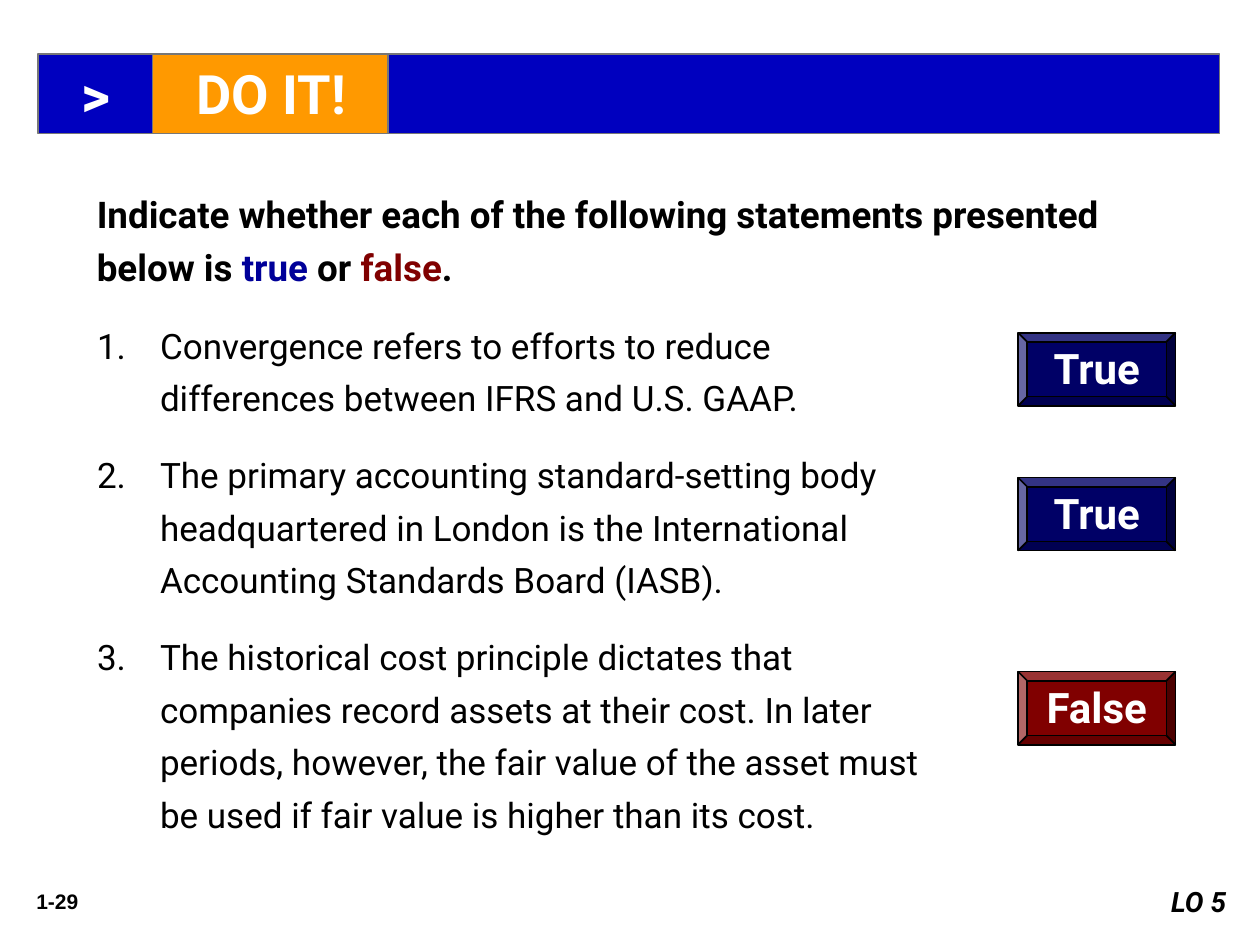
from dataclasses import dataclass

from lxml import etree
from pptx import Presentation
from pptx.dml.color import RGBColor
from pptx.enum.shapes import MSO_SHAPE as SHAPE
from pptx.enum.text import MSO_ANCHOR as ANCHOR, MSO_AUTO_SIZE as AUTO, PP_ALIGN as ALIGN
from pptx.oxml.ns import qn
from pptx.util import Inches, Pt

COLORS = {
    "black": "000000", "white": "FFFFFF", "bar": "0000BF", "orange": "FF9900",
    "border": "777777", "true": "000066", "false": "800000", "true_word": "000099",
}
PROMPT = [
    ("Indicate whether each of the following statements presented below is ", "black"),
    ("true", "true_word"), (" or ", "black"), ("false", "false"), (".", "black"),
]


@dataclass
class Statement:
    text: str
    answer: str
    button_top: float


STATEMENTS = [
    Statement("Convergence refers to efforts to reduce differences between IFRS and "
              "U.S. GAAP.", "True", 2.64),
    Statement("The primary accounting standard-setting body headquartered in London is "
              "the International Accounting Standards Board (IASB).", "True", 3.79),
    Statement("The historical cost principle dictates that companies record assets at "
              "their cost. In later periods, however, the fair value of the asset must "
              "be used if fair value is higher than its cost.", "False", 5.33),
]


def rgb(name: str) -> RGBColor:
    return RGBColor.from_string(COLORS[name])


def place(s, left: float, top: float, width: float, height: float) -> None:
    s.left, s.top, s.width, s.height = map(Inches, (left, top, width, height))


def style(font, size: float, color: str = "black", bold: bool = True,
          name: str = "Roboto") -> None:
    font.size, font.bold, font.name = Pt(size), bold, name
    font.color.rgb = rgb(color)


def paint(s, fill: str, line: str) -> None:
    s.fill.solid()
    s.fill.fore_color.rgb = rgb(fill)
    s.line.color.rgb = rgb(line)
    s.line.width = Pt(1)


def add_block(slide, kind, box: tuple, fill: str, line: str):
    s = slide.shapes.add_shape(kind, *map(Inches, box))
    s.shadow.inherit = False
    paint(s, fill, line)
    return s


def write_heading(s, text: str, size: float, anchor) -> None:
    """Write left-aligned white text, indented a quarter inch, in the top bar."""
    tf = s.text_frame
    tf.text = text
    tf.auto_size, tf.vertical_anchor, tf.word_wrap = AUTO.NONE, anchor, True
    p = tf.paragraphs[0]
    p.alignment = ALIGN.LEFT
    p._p.get_or_add_pPr().set("marL", str(Inches(0.25)))
    style(p.runs[0].font, size, "white")


def add_header(slide) -> None:
    bar = add_block(slide, SHAPE.RECTANGLE, (0.3, 0.43, 9.38, 0.63), "bar", "border")
    write_heading(bar, ">", 32, ANCHOR.MIDDLE)
    title = slide.shapes.title
    place(title, 1.21, 0.43, 1.87, 0.63)
    paint(title, "orange", "border")
    write_heading(title, "DO IT!", 31, ANCHOR.TOP)
    bar.element.addnext(title.element)  # the title lies on the bar


def add_text(slide, box: tuple, parts: list, size: float, align=ALIGN.LEFT,
             name: str = "Roboto"):
    s = slide.shapes.add_textbox(*map(Inches, box))
    s.text_frame.word_wrap = True
    p = s.text_frame.paragraphs[0]
    p.alignment = align
    for text, color in parts:
        r = p.add_run()
        r.text = text
        style(r.font, size, color, name=name)
    return p


def fill_statements(body) -> None:
    place(body, 0.67, 2.44, 6.92, 4.32)
    tf = body.text_frame
    tf.auto_size = AUTO.NONE
    for i, statement in enumerate(STATEMENTS):
        p = tf.add_paragraph() if i else tf.paragraphs[0]
        p.text = statement.text
        pPr = p._p.get_or_add_pPr()
        pPr.set("marL", str(Inches(0.5)))
        pPr.set("indent", str(Inches(-0.5)))
        etree.SubElement(pPr, qn("a:buFont"), typeface="Roboto")
        etree.SubElement(pPr, qn("a:buAutoNum"), type="arabicPeriod")
        p.line_spacing = 1.25
        p.space_before = Pt(14 if i else 0)
        style(p.runs[0].font, 20, bold=False)


def add_button(slide, statement: Statement) -> None:
    s = add_block(slide, SHAPE.BEVEL, (8.08, statement.button_top, 1.25, 0.58),
                  statement.answer.lower(), "black")
    s.adjustments[0] = 0.125
    tf = s.text_frame
    tf.text = statement.answer
    tf.word_wrap, tf.vertical_anchor = False, ANCHOR.MIDDLE
    tf.margin_top, tf.margin_bottom = Inches(0.03), Inches(0.05)
    p = tf.paragraphs[0]
    p.alignment = ALIGN.CENTER
    style(p.runs[0].font, 24, "white")


def main() -> None:
    prs = Presentation()
    prs.slide_width, prs.slide_height = Inches(10), Inches(7.5)
    slide = prs.slides.add_slide(prs.slide_layouts[1])
    add_header(slide)
    add_text(slide, (0.67, 1.4, 8.67, 0.91), PROMPT, 21).line_spacing = 1.2
    fill_statements(slide.placeholders[1])
    for statement in STATEMENTS:
        add_button(slide, statement)
    add_text(slide, (0.08, 7, 0.75, 0.3), [("1-29", "black")], 12, ALIGN.CENTER, "Arial")
    objective = add_text(slide, (9, 6.97, 0.83, 0.37), [("LO 5", "black")], 16, ALIGN.RIGHT)
    objective.runs[0].font.italic = True
    prs.save("out.pptx")


if __name__ == "__main__":
    main()
